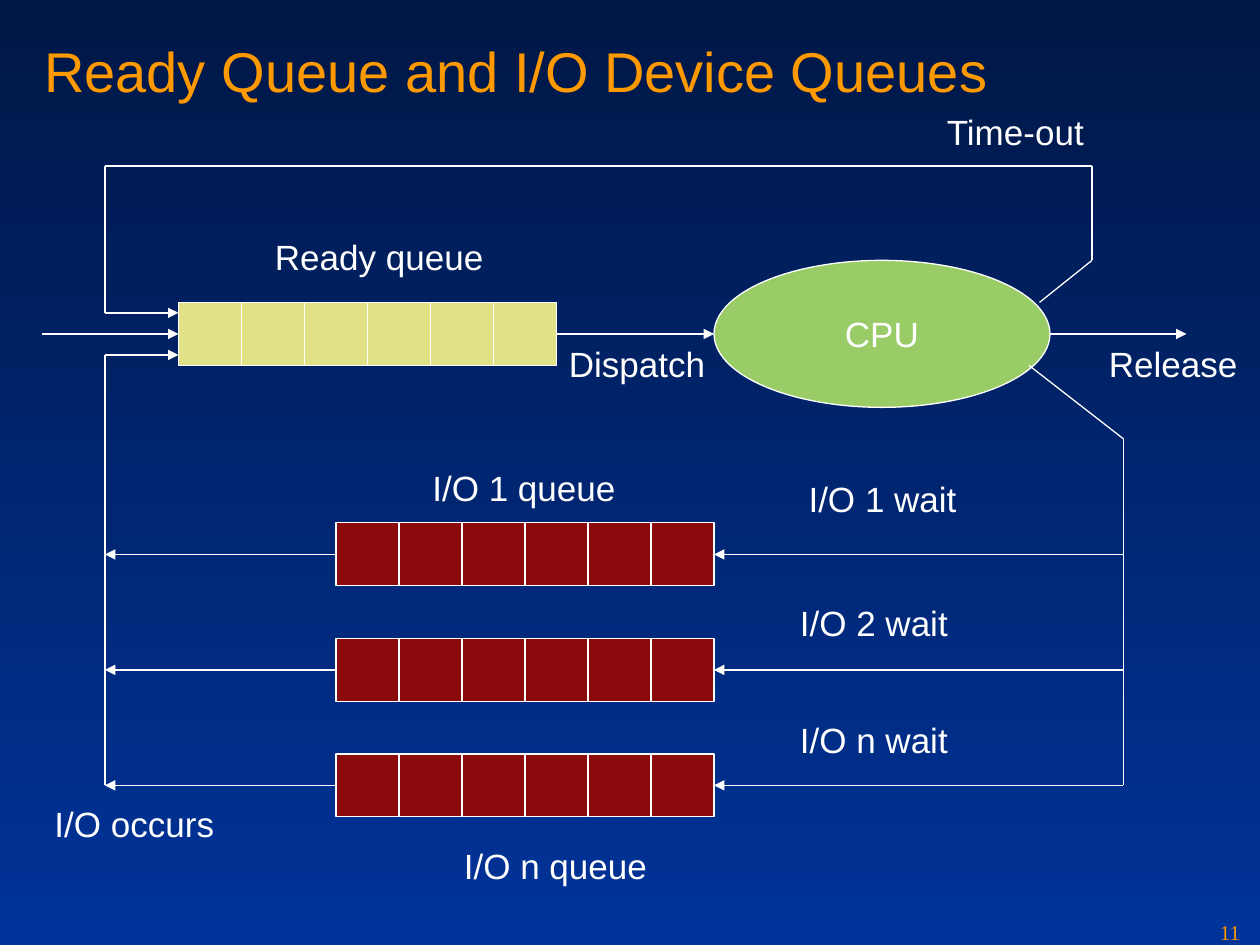
import pptx
import pptx.dml.color
import pptx.enum.shapes
import pptx.enum.text
import pptx.util
import lxml.etree
import pptx.oxml.ns

Pt = pptx.util.Pt
MSO_SHAPE = pptx.enum.shapes.MSO_SHAPE
ANCHOR = pptx.enum.text.MSO_ANCHOR
ALIGN = pptx.enum.text.PP_ALIGN
AUTO = pptx.enum.text.MSO_AUTO_SIZE
WHITE, ORANGE = "FFFFFF", "FE9900"
CELL, CELLS = 36, 6


def paint(color, value):
    color.rgb = pptx.dml.color.RGBColor.from_string(value)


def write(tf, text, size=20, font="Arial", color=WHITE, align=ALIGN.LEFT):
    p = tf.paragraphs[0]
    p.alignment = align
    r = p.add_run()
    r.text = text
    r.font.size = Pt(size)
    r.font.name = font
    paint(r.font.color, color)


def add_label(s, text, left, top, width, height=31.5, grow=True, **style):
    sp = s.shapes.add_textbox(Pt(left), Pt(top), Pt(width), Pt(height))
    tf = sp.text_frame
    tf.word_wrap = not grow
    tf.auto_size = AUTO.SHAPE_TO_FIT_TEXT if grow else AUTO.NONE
    write(tf, text, **style)


def add_node(s, kind, left, top, width, height, fill):
    sp = s.shapes.add_shape(kind, Pt(left), Pt(top), Pt(width), Pt(height))
    sp.shadow.inherit = False
    sp.fill.solid()
    paint(sp.fill.fore_color, fill)
    paint(sp.line.color, WHITE)
    sp.line.width = Pt(0.75)
    return sp


def add_line(s, start, end, arrow=False, source=None, target=None):
    c = s.shapes.add_connector(
        pptx.enum.shapes.MSO_CONNECTOR.STRAIGHT, *[Pt(v) for v in (*start, *end)])
    paint(c.line.color, WHITE)
    c.line.width = Pt(0.75)
    if arrow:
        lxml.etree.SubElement(
            c.line._get_or_add_ln(), pptx.oxml.ns.qn("a:tailEnd"), type="triangle")
    lxml.etree.SubElement(c._element.spPr, pptx.oxml.ns.qn("a:effectLst"))
    if source is not None:
        c.begin_connect(*source)
    if target is not None:
        c.end_connect(*target)


def add_path(s, points, arrow=False):
    last = len(points) - 2
    for i, (start, end) in enumerate(zip(points, points[1:])):
        add_line(s, start, end, arrow and i == last)


def add_queue(s, left, top, fill):
    cells = [add_node(s, MSO_SHAPE.RECTANGLE, left + i * CELL, top, CELL, CELL, fill)
             for i in range(CELLS)]
    return cells[0], cells[-1]


def add_title(s, left, top, width, height):
    sp = s.shapes.title
    sp.left, sp.top, sp.width, sp.height = [Pt(v) for v in (left, top, width, height)]
    tf = sp.text_frame
    tf.auto_size = AUTO.NONE
    tf.word_wrap = True
    tf.vertical_anchor = ANCHOR.TOP
    write(tf, "Ready Queue and I/O Device Queues", size=32, color=ORANGE)


def add_cpu_region(s, left, top, width, height):
    mid = top + 96
    queue_left, cpu_left, cpu_width = left + 42, left + 348, 192
    queue_right, cpu_right = queue_left + CELLS * CELL, cpu_left + cpu_width
    timeout_x = left + 564
    first, last = add_queue(s, queue_left, mid - CELL / 2, "E1E187")
    cpu = add_node(s, MSO_SHAPE.OVAL, cpu_left, mid - 42, cpu_width, 84, "99CC66")
    cpu.text_frame.word_wrap = False
    cpu.text_frame.vertical_anchor = ANCHOR.MIDDLE
    write(cpu.text_frame, "CPU", align=ALIGN.CENTER)

    add_path(s, [(cpu_right - 6, mid - 18), (timeout_x, mid - 42), (timeout_x, top),
                 (left, top), (left, mid - 12), (queue_left, mid - 12)], arrow=True)
    add_line(s, (left - 36, mid), (queue_left, mid), True, target=(first, 1))
    add_line(s, (queue_right, mid), (cpu_left, mid), True, source=(last, 3))
    add_line(s, (cpu_right, mid), (left + width + 36, mid), True)
    add_path(s, [(cpu_right - 12, mid + 18), (left + width, top + height)])

    add_label(s, "Time-out", left + 474, top - 35, 94)
    add_label(s, "Ready queue", left + 90, top + 36, 134)
    add_label(s, "Dispatch", queue_right, mid + 1.2, 93)
    add_label(s, "Release", left + 566.5, mid + 1.2, 88)


def add_io_region(s, left, top, width, height):
    right, queue_left, step = left + width, left + 132, 66
    queue_right = queue_left + CELLS * CELL
    waits = [("I/O 1 wait", 395, -47.5), ("I/O 2 wait", 390, -42.5), ("I/O n wait", 390, -42)]
    for i, (text, dx, dy) in enumerate(waits):
        y = top + 114 + i * step
        first, last = add_queue(s, queue_left, y - CELL / 2, "8B0A0B")
        add_line(s, (right, y), (queue_right, y), True, target=(last, 3))
        add_line(s, (queue_left, y), (left, y), True, source=(first, 1))
        add_label(s, text, left + dx, y + dy, 99.5)
    add_path(s, [(left, top + height), (left, top), (left + 42, top)], arrow=True)
    add_path(s, [(right, top + 48), (right, top + height)])

    add_label(s, "I/O 1 queue", left + 180, top + 60, 119)
    add_label(s, "I/O n queue", left + 198, top + 276, 119)
    add_label(s, "I/O occurs", left - 36, top + 252, 106)


def main():
    prs = pptx.Presentation()
    prs.slide_width, prs.slide_height = Pt(720), Pt(540)
    s = prs.slides.add_slide(prs.slide_layouts[5])
    fill = s.background.fill
    fill.gradient()
    fill.gradient_angle = 270
    for stop, value in zip(fill.gradient_stops, ("001746", "003399")):
        paint(stop.color, value)
    add_title(s, 18, 17.5, 690, 90)
    add_cpu_region(s, 60, 94.8, 582, 156)
    add_io_region(s, 60, 202.8, 582, 246)
    add_label(s, "11", 690, 522, 30, 18, grow=False,
              size=12, font="Times New Roman", color=ORANGE)
    prs.save("out.pptx")


if __name__ == "__main__":
    main()
